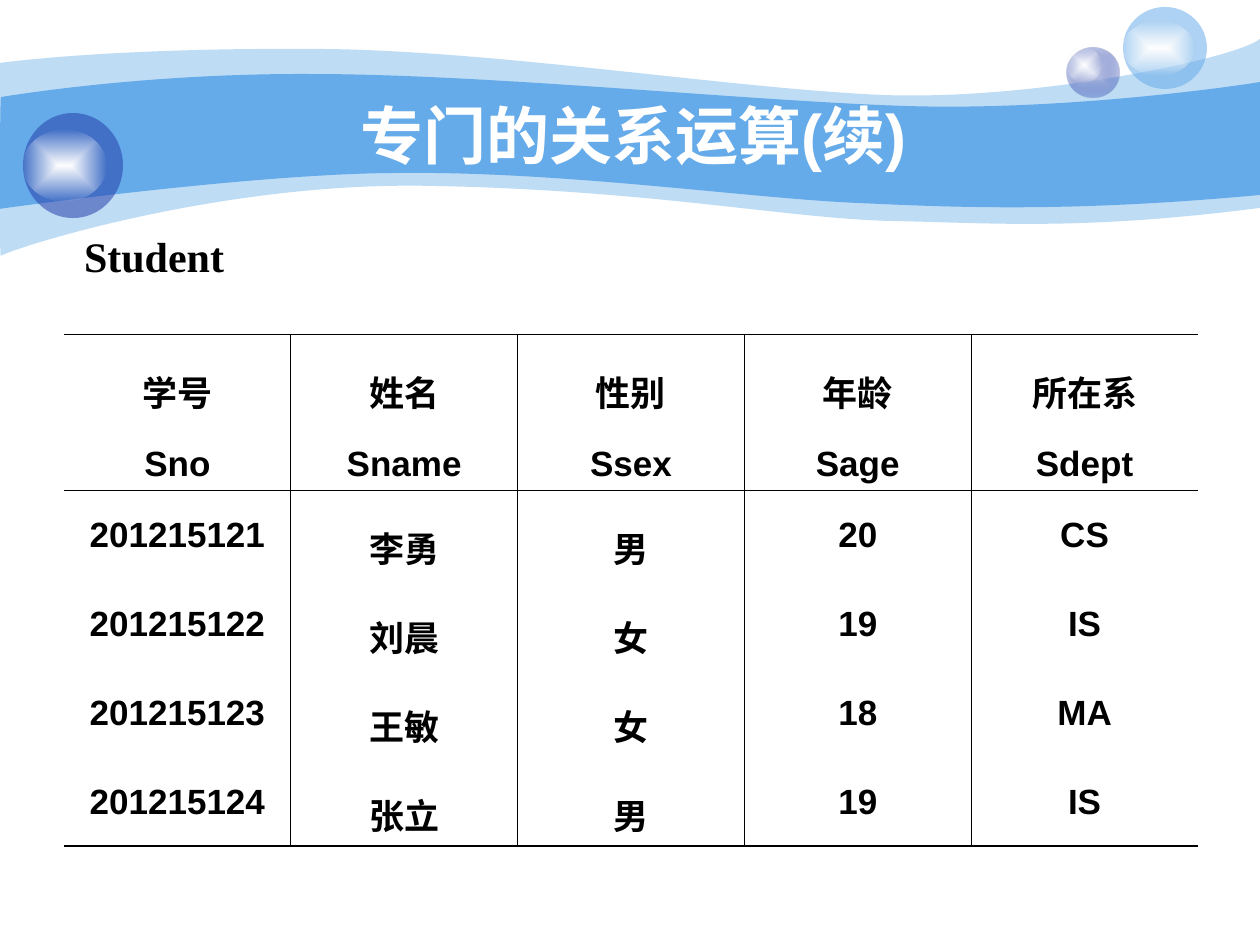
import pptx
import pptx.dml.color
import pptx.enum.shapes
import pptx.enum.text
import pptx.oxml
import pptx.oxml.ns
import pptx.util

PX = 914400 / 126
COLORS = {
    "sky": "65AAE9",
    "navy": "233DA9",
    "lavender": "C7CEE9",
    "white": "FFFFFF",
    "black": "000000",
}
CENTER = pptx.enum.text.PP_ALIGN.CENTER
LEFT = pptx.enum.text.PP_ALIGN.LEFT
TOP = pptx.enum.text.MSO_ANCHOR.TOP
MIDDLE = pptx.enum.text.MSO_ANCHOR.MIDDLE

OUTER_WAVE = [
    (0, 63),
    (30, 59, 135, 48, 311, 49),
    (486, 49, 725, 88, 881, 95),
    (1033, 101, 1235, 59, 1260, 39),
    (1260, 208),
    (1081, 231, 992, 223, 888, 221),
    (784, 218, 649, 190, 432, 186),
    (217, 181, 5, 251, 1, 256),
    (-1, 262, 0, 95, 0, 63),
]
INNER_WAVE = [
    (1, 97),
    (3, 97, 139, 73, 312, 74),
    (486, 74, 750, 101, 905, 106),
    (1060, 111, 1230, 87, 1260, 82),
    (1260, 195),
    (1075, 212, 964, 208, 859, 203),
    (755, 199, 563, 171, 399, 173),
    (256, 173, -3, 209, -1, 209),
    (0, 209, 0, 97, 1, 97),
]
HEADERS = [("学号", "Sno"), ("姓名", "Sname"), ("性别", "Ssex"), ("年龄", "Sage"), ("所在系", "Sdept")]
STUDENTS = [
    ("201215121", "李勇", "男", "20", "CS"),
    ("201215122", "刘晨", "女", "19", "IS"),
    ("201215123", "王敏", "女", "18", "MA"),
    ("201215124", "张立", "男", "19", "IS"),
]


def px(value):
    return pptx.util.Emu(round(value * PX))


def rgb(name):
    return pptx.dml.color.RGBColor.from_string(COLORS[name])


def xml(tag, content):
    return pptx.oxml.parse_xml(f"<a:{tag} {pptx.oxml.ns.nsdecls('a')}{content}")


def write_text(text_frame, lines, size=20, color="black", font="Arial", align=CENTER,
               anchor=TOP, spacing=None, gap=0, margins=(13, 6, 13, 6)):
    text_frame.margin_left, text_frame.margin_top, text_frame.margin_right, text_frame.margin_bottom = map(px, margins)
    text_frame.vertical_anchor = anchor
    for index, line in enumerate(lines):
        paragraph = text_frame.add_paragraph() if index else text_frame.paragraphs[0]
        paragraph.alignment = align
        paragraph.line_spacing = spacing
        paragraph.space_before = pptx.util.Pt(gap if index else 0)
        run = paragraph.add_run()
        run.text = line
        run.font.name = font
        run.font.size = pptx.util.Pt(size)
        run.font.bold = True
        run.font.color.rgb = rgb(color)


def fill_solid(shape, color, alpha=100):
    shape.shadow.inherit = False
    shape.line.fill.background()
    shape.fill.solid()
    shape.fill.fore_color.rgb = rgb(color)
    if alpha < 100:
        color_element = shape.element.spPr.find(".//" + pptx.oxml.ns.qn("a:srgbClr"))
        color_element.append(xml("alpha", f' val="{alpha * 1000}"/>'))


def fill_glow(shape, center, edge, edge_alpha):
    shape.shadow.inherit = False
    shape.line.fill.background()
    shape.fill.background()
    gradient = xml("gradFill", f""" rotWithShape="1"><a:gsLst>
        <a:gs pos="0"><a:srgbClr val="{COLORS[center]}"/></a:gs>
        <a:gs pos="100000"><a:srgbClr val="{COLORS[edge]}"><a:alpha val="{edge_alpha * 1000}"/></a:srgbClr></a:gs>
        </a:gsLst><a:path path="rect"><a:fillToRect l="50000" t="50000" r="50000" b="50000"/></a:path></a:gradFill>""")
    properties = shape.element.spPr
    properties.replace(properties.find(pptx.oxml.ns.qn("a:noFill")), gradient)


def draw_wave(slide, left, top, segments, alpha):
    anchors = [(px(left + segment[-2]), px(top + segment[-1])) for segment in segments]
    builder = slide.shapes.build_freeform(*anchors[0])
    builder.add_line_segments(anchors[1:], close=True)
    wave = builder.convert_to_shape()
    lines = list(wave.element.spPr.iter(pptx.oxml.ns.qn("a:lnTo")))
    for line, segment in zip(lines, segments[1:]):
        if len(segment) == 6:
            points = "".join(
                f'<a:pt x="{px(left + x) - wave.left}" y="{px(top + y) - wave.top}"/>'
                for x, y in zip(segment[::2], segment[1::2]))
            line.getparent().replace(line, xml("cubicBezTo", f">{points}</a:cubicBezTo>"))
    fill_solid(wave, "sky", alpha)


def add_ellipse(slide, left, top, width, height):
    return slide.shapes.add_shape(pptx.enum.shapes.MSO_SHAPE.OVAL, px(left), px(top), px(width), px(height))


def draw_ball(slide, left, top, width, height, color, highlight):
    ball = add_ellipse(slide, left, top, width, height)
    if color == "lavender":
        fill_glow(ball, "lavender", "navy", 31)
    else:
        fill_solid(ball, color, 53)
    offset, glow_width, glow_height = highlight
    fill_glow(add_ellipse(slide, left, top + offset, glow_width, glow_height), "white", "white", 0)


def draw_banner(slide, left, top):
    draw_wave(slide, left, top, OUTER_WAVE, 41)
    draw_wave(slide, left, top, INNER_WAVE, 100)
    draw_ball(slide, left + 1067, top + 48, 53, 50, "lavender", (0, 35, 34))
    draw_ball(slide, left + 1123, top + 7, 84, 82, "sky", (14, 71, 54))
    draw_ball(slide, left + 23, top + 113, 100, 105, "navy", (17, 83, 71))


def place_title(slide, left, top, width, height):
    title = slide.shapes.title
    title.left, title.top, title.width, title.height = map(px, (left, top, width, height))
    title.text_frame.auto_size = pptx.enum.text.MSO_AUTO_SIZE.NONE
    write_text(title.text_frame, ["专门的关系运算(续)"], size=36, color="white", anchor=MIDDLE)
    title.element.getparent().append(title.element)


def add_relation_name(slide, left, top, width, height):
    box = slide.shapes.add_textbox(px(left), px(top), px(width), px(height))
    box.text_frame.word_wrap = False
    write_text(box.text_frame, ["Student"], size=24, font="Times New Roman", align=LEFT,
               anchor=MIDDLE, margins=(10, 6, 0, 6))


def set_borders(cell, **widths):
    properties = cell._tc.get_or_add_tcPr()
    for index, side in enumerate("LRTB"):
        width = widths.get(side, 0)
        paint = f'<a:solidFill><a:srgbClr val="{COLORS["black"]}"/></a:solidFill>' if width else "<a:noFill/>"
        properties.insert(index, xml(f"ln{side}", f' w="{round(width * 12700)}">{paint}</a:ln{side}>'))


def add_student_table(slide, left, top, width, header_height, row_height):
    rows = [HEADERS] + [[(value,) for value in student] for student in STUDENTS]
    last_row, last_column = len(rows) - 1, len(HEADERS) - 1
    height = header_height + row_height * last_row
    table = slide.shapes.add_table(len(rows), len(HEADERS), px(left), px(top), px(width), px(height)).table
    table.first_row = table.horz_banding = False
    thin, thick = 0.45, 1.08
    for column in table.columns:
        column.width = px(width / len(HEADERS))
    for row_index, row in enumerate(rows):
        table.rows[row_index].height = px(row_height if row_index else header_height)
        for column_index, lines in enumerate(row):
            cell = table.cell(row_index, column_index)
            write_text(cell.text_frame, lines, spacing=1.5, gap=5)
            cell.margin_left = cell.margin_right = px(13)
            cell.margin_top = cell.margin_bottom = px(6)
            cell.fill.background()
            set_borders(
                cell,
                L=thin if column_index else 0,
                R=thin if column_index < last_column else 0,
                T=thin if row_index < 2 else 0,
                B={0: thin, last_row: thick}.get(row_index, 0),
            )


def main():
    presentation = pptx.Presentation()
    presentation.slide_width, presentation.slide_height = px(1260), px(945)
    slide = presentation.slides.add_slide(presentation.slide_layouts[5])
    draw_banner(slide, 0, 0)
    place_title(slide, 124, 95, 1018, 78)
    add_relation_name(slide, 74, 214, 160, 84)
    add_student_table(slide, 64, 334, 1134, 156, 89)
    presentation.save("out.pptx")


if __name__ == "__main__":
    main()
